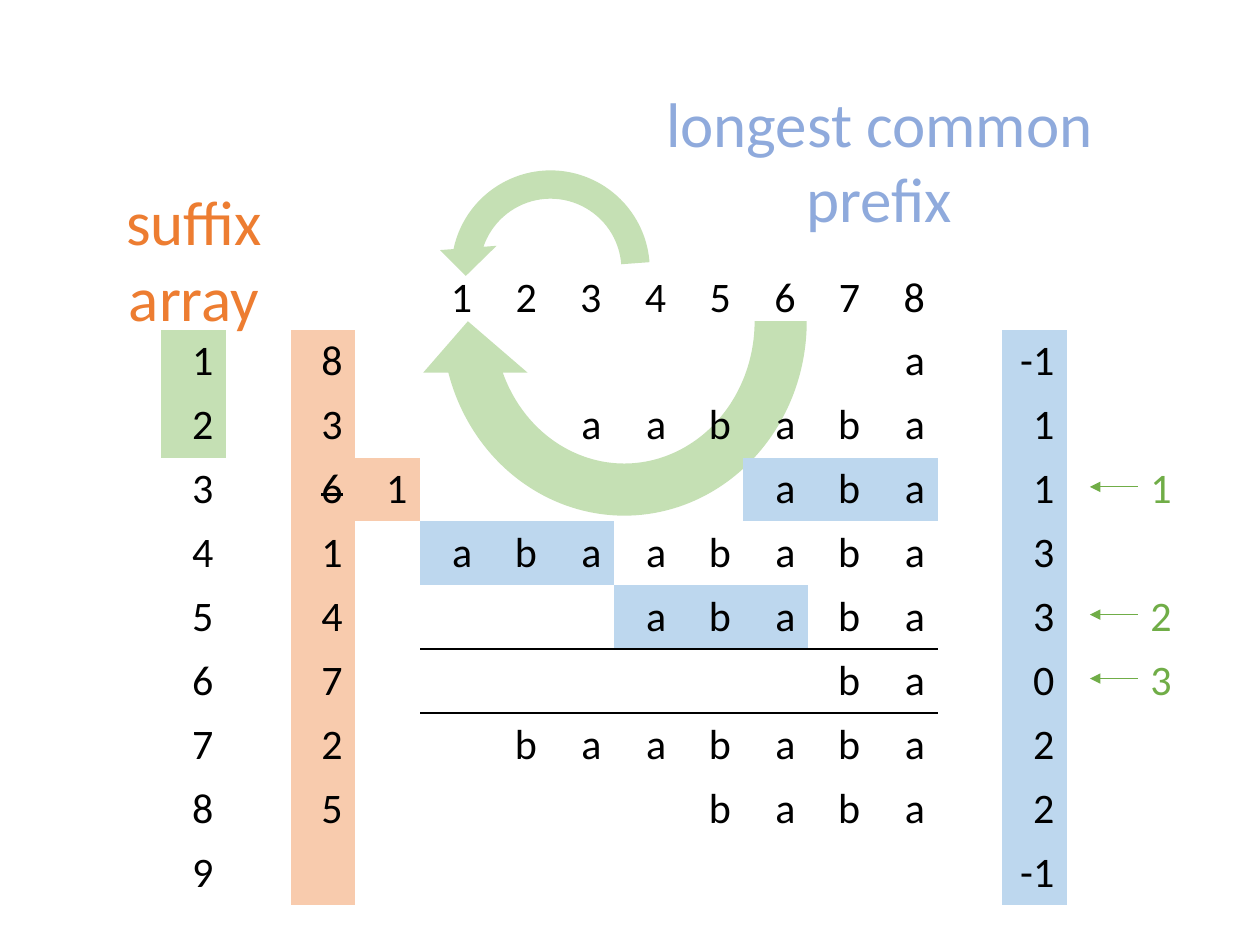
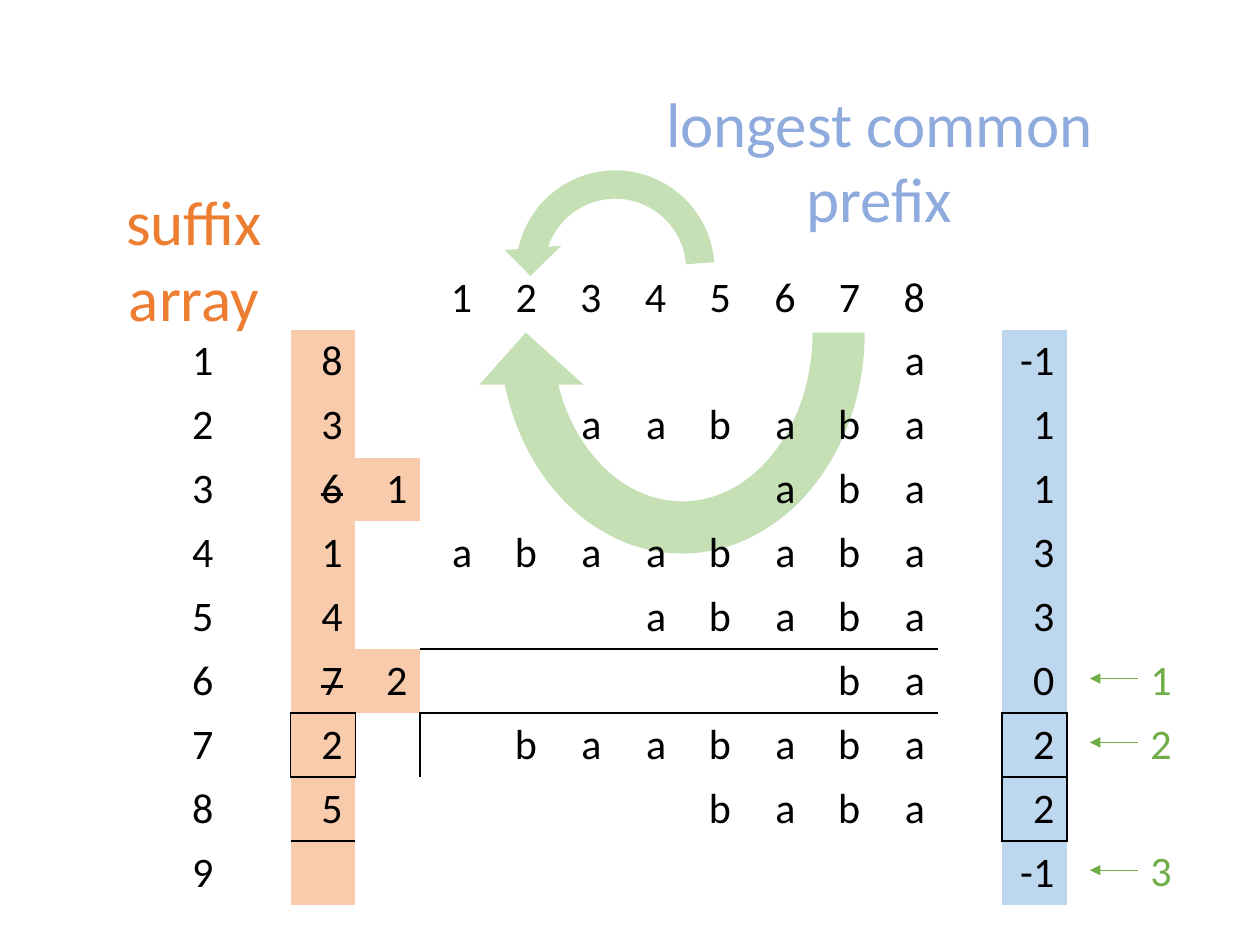
from lxml import etree
from pptx import Presentation
from pptx.dml.color import RGBColor
from pptx.enum.shapes import MSO_CONNECTOR as LINE, MSO_SHAPE as SHAPE
from pptx.enum.text import MSO_ANCHOR as ANCHOR, MSO_AUTO_SIZE as AUTO, PP_ALIGN as ALIGN
from pptx.oxml.ns import qn
from pptx.util import Inches, Pt

FONT = "Calibri"
BLACK, ORANGE, BLUE, GREEN = "000000", "ED7D31", "8FAADC", "70AD47"
PALE_ORANGE, PALE_BLUE, PALE_GREEN = "F8CBAD", "BDD7EE", "C5E0B4"
NO_GRID_STYLE = "{2D5ABB26-0587-4C30-8999-92F81FD0307C}"

WORD = "abaababa"
SUFFIXES = [8, 3, 6, 1, 4, 7, 2, 5]
PREFIXES = [-1, 1, 1, 3, 3, 0, 2, 2, -1]
ROWS, COLS = 10, 14
INDEX_COL, SUFFIX_COL, NEW_COL, WORD_COL, PREFIX_COL = 0, 2, 3, 4, 13
LEFT, TOP, WIDTH, HEIGHT = 1.28, 2.11, 7.19, 5
COL_W, ROW_H = WIDTH / COLS, 0.507


def color(value):
    """Turn a hex string into a colour."""
    return RGBColor.from_string(value)


def add_run(p, text, size, hex_color, struck=False):
    """Append one formatted run to a paragraph."""
    r = p.add_run()
    r.text = str(text)
    r.font.name, r.font.size = FONT, Pt(size)
    r.font.color.rgb = color(hex_color)
    if struck:
        r.font._element.set("strike", "sngStrike")


def add_label(s, text, x, y, w, h, size, hex_color, wrap=True):
    """Add a centred text box."""
    tf = s.shapes.add_textbox(*map(Inches, (x, y, w, h))).text_frame
    tf.word_wrap = wrap
    tf.auto_size = AUTO.SHAPE_TO_FIT_TEXT
    tf.paragraphs[0].alignment = ALIGN.CENTER
    add_run(tf.paragraphs[0], text, size, hex_color)


def add_arc(s, x, y, w, h, flips, rotation=0):
    """Add a pale green circular arrow, mirrored along the given axes."""
    sp = s.shapes.add_shape(SHAPE.CIRCULAR_ARROW, *map(Inches, (x, y, w, h)))
    sp.shadow.inherit = False
    sp.fill.solid()
    sp.fill.fore_color.rgb = color(PALE_GREEN)
    sp.line.fill.background()
    sp.rotation = rotation
    for axis in flips:
        sp._element.spPr.xfrm.set("flip" + axis, "1")


def add_pointer(s, number, row):
    """Add a numbered arrow that points at a table row."""
    y = TOP - 0.02 + (row + 0.5) * ROW_H
    ends = map(Inches, (9.03, y, 8.65, y))
    line = s.shapes.add_connector(LINE.STRAIGHT, *ends)
    line.line.color.rgb = color(GREEN)
    line.line.width = Pt(0.5)
    etree.SubElement(line.line._get_or_add_ln(), qn("a:tailEnd"), type="triangle")
    etree.SubElement(line._element.spPr, qn("a:effectLst"))
    add_label(s, number, 9.03, y - 0.25, 0.37, 0.5, 24, GREEN, wrap=False)


def write_cell(cell, text, struck=False):
    """Write right-aligned text into a cell."""
    cell.vertical_anchor = ANCHOR.MIDDLE
    p = cell.text_frame.paragraphs[0]
    p.alignment = ALIGN.RIGHT
    add_run(p, text, 24, BLACK, struck)


def fill_cells(table, rows, cols, hex_color):
    """Fill a block of cells."""
    for row in rows:
        for col in cols:
            fill = table.cell(row, col).fill
            fill.solid()
            fill.fore_color.rgb = color(hex_color)


def rule_cells(table, row, cols, sides):
    """Draw black borders on the given sides, listed in the order L, R, T, B."""
    for col in cols:
        tc_pr = table.cell(row, col)._tc.get_or_add_tcPr()
        for side in reversed(sides):
            ln = etree.Element(qn("a:ln" + side), w=str(Pt(1)))
            paint = etree.SubElement(ln, qn("a:solidFill"))
            etree.SubElement(paint, qn("a:srgbClr"), val=BLACK)
            tc_pr.insert(0, ln)


def add_suffix_table(s, replaced):
    """Add the sorted suffixes, with struck entries and their new values."""
    box = map(Inches, (LEFT, TOP, WIDTH, HEIGHT))
    table = s.shapes.add_table(ROWS, COLS, *box).table
    table.first_row = table.horz_banding = False
    table._tbl.tblPr.find(qn("a:tableStyleId")).text = NO_GRID_STYLE
    for cell in table.iter_cells():
        cell.fill.background()
    for i in range(len(WORD)):
        write_cell(table.cell(0, WORD_COL + i), i + 1)
    for row, prefix in enumerate(PREFIXES, 1):
        write_cell(table.cell(row, INDEX_COL), row)
        write_cell(table.cell(row, PREFIX_COL), prefix)
    for row, start in enumerate(SUFFIXES, 1):
        write_cell(table.cell(row, SUFFIX_COL), start, row in replaced)
        for i in range(start - 1, len(WORD)):
            write_cell(table.cell(row, WORD_COL + i), WORD[i])
    fill_cells(table, range(1, ROWS), [SUFFIX_COL], PALE_ORANGE)
    fill_cells(table, range(1, ROWS), [PREFIX_COL], PALE_BLUE)
    for row, value in replaced.items():
        write_cell(table.cell(row, NEW_COL), value)
        fill_cells(table, [row], [NEW_COL], PALE_ORANGE)
    word_cols = range(WORD_COL, WORD_COL + len(WORD))
    rule_cells(table, 5, word_cols, "B")
    rule_cells(table, 6, word_cols, "TB")
    return table


def add_step(prs, big_arc, replaced, pointed_rows, step):
    """Add one slide of the walk-through and return its table."""
    s = prs.slides.add_slide(prs.slide_layouts[6])
    add_arc(s, *big_arc, flips="HV")
    table = add_suffix_table(s, replaced)
    add_label(s, "suffix array", 0.44, 1.4, 2.2, 0.71, 36, ORANGE)
    add_label(s, "longest common prefix", 4.68, 0.62, 4.6, 0.71, 36, BLUE)
    for number, row in enumerate(pointed_rows, 1):
        add_pointer(s, number, row)
    add_arc(s, 3.47 + step * COL_W, 1.24, 1.8, 1.8, flips="H", rotation=355.7)
    return table


def main():
    """Build both steps of the suffix array example."""
    prs = Presentation()
    prs.slide_width, prs.slide_height = Inches(10), Inches(7.5)

    table = add_step(prs, (3.3, 0.8, 3.31, 3.5), {3: 1}, (3, 5, 6), 0)
    fill_cells(table, (1, 2), [INDEX_COL], PALE_GREEN)
    for row, first in ((3, 6), (4, 1), (5, 4)):
        start = WORD_COL + first - 1
        fill_cells(table, [row], range(start, start + 3), PALE_BLUE)

    table = add_step(prs, (3.76, 0.68, 3.31, 3.92), {3: 1, 6: 2}, (6, 7, 9), 1)
    for row, col, sides in (
        (6, SUFFIX_COL, "B"), (6, PREFIX_COL, "B"),
        (7, SUFFIX_COL - 1, "R"), (7, SUFFIX_COL, "LRTB"), (7, NEW_COL, "LR"),
        (7, PREFIX_COL - 1, "R"), (7, PREFIX_COL, "LRT"),
        (8, SUFFIX_COL, "TB"), (8, PREFIX_COL - 1, "R"), (8, PREFIX_COL, "LRB"),
        (9, PREFIX_COL, "T"),
    ):
        rule_cells(table, row, [col], sides)

    prs.save("out.pptx")


if __name__ == "__main__":
    main()
